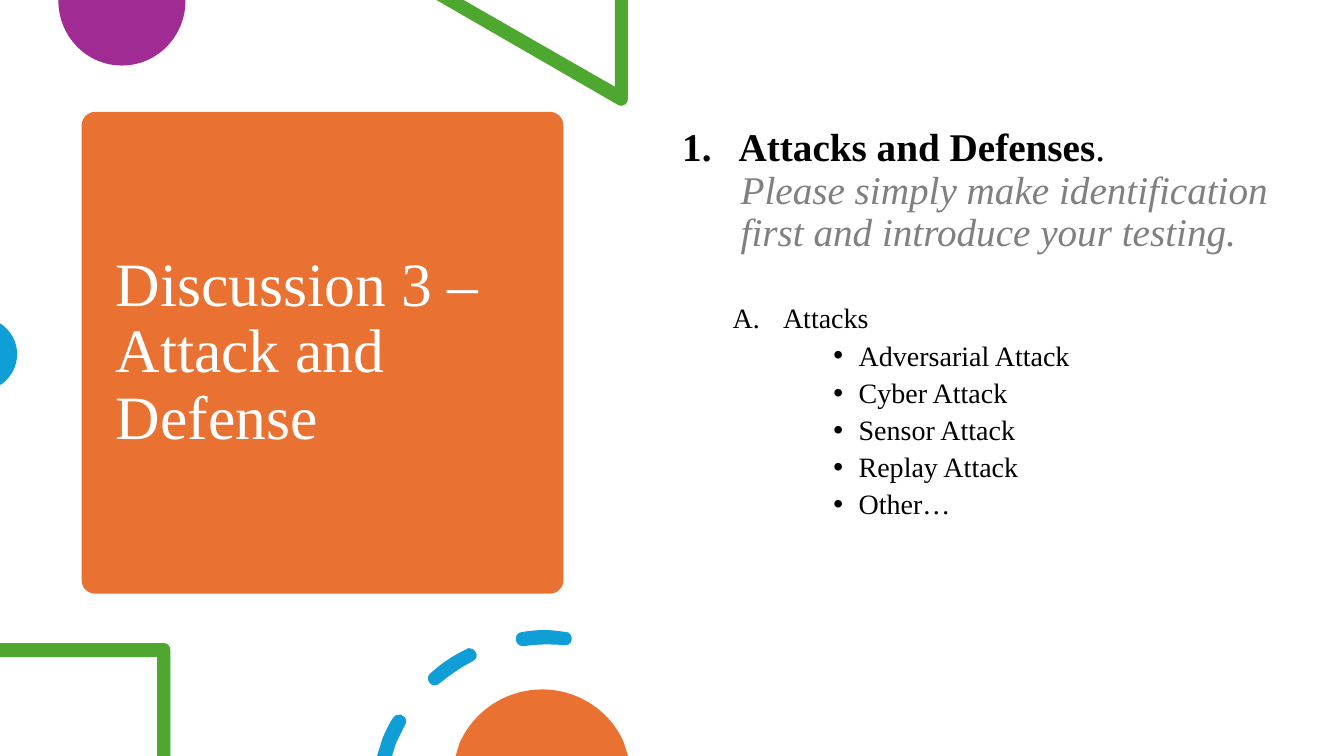
from dataclasses import dataclass

from lxml.etree import SubElement
from pptx import Presentation
from pptx.dml.color import RGBColor
from pptx.enum.shapes import MSO_SHAPE
from pptx.enum.text import MSO_ANCHOR
from pptx.oxml.ns import qn
from pptx.shapes.autoshape import Shape
from pptx.slide import Slide
from pptx.text.text import TextFrame
from pptx.util import Inches, Pt


@dataclass(frozen=True)
class Theme:
    font: str = "Times New Roman"
    orange: str = "E97132"
    purple: str = "A02B93"
    green: str = "4EA72E"
    blue: str = "0F9ED5"
    white: str = "FFFFFF"
    black: str = "000000"
    gray: str = "808080"
    title_size: int = 44
    heading_size: int = 28
    list_size: int = 20
    line_spacing: float = 0.9


THEME = Theme()
Outline = list[tuple[float, ...]]


@dataclass(frozen=True)
class Decoration:
    color: str
    outlines: list[Outline]


@dataclass(frozen=True)
class ListStyle:
    level: int = 0
    margin: float = 0
    indent: float = 0
    space_before: float = 0
    number: str = ""
    bullet: str = ""


HEADING = ListStyle(0, 0.56, -0.56, 10, number="arabicPeriod")
INSTRUCTION = ListStyle(0, 0.58)
SECTION = ListStyle(1, 1, -0.5, 35.5, number="alphaUcPeriod")
ATTACK = ListStyle(3, 1.75, -0.25, 5, bullet="•")

INSTRUCTIONS = [
    "Please simply make identification",
    "first and introduce your testing.",
]
ATTACKS = [
    "Adversarial Attack",
    "Cyber Attack",
    "Sensor Attack",
    "Replay Attack",
    "Other…",
]

PURPLE_CIRCLE = Decoration(THEME.purple, [[
    (1.84, 0), (0.58, 0), (0.58, 0.01),
    (0.58, 0.36, 0.86, 0.65, 1.21, 0.65),
    (1.56, 0.65, 1.84, 0.36, 1.84, 0.01),
]])
GREEN_TRIANGLE = Decoration(THEME.green, [[
    (6.23, 0), (6.1, 0), (6.1, 0.86), (4.6, 0), (4.33, 0), (6.13, 1.04),
    (6.14, 1.05, 6.15, 1.05, 6.16, 1.05),
    (6.2, 1.05, 6.23, 1.02, 6.23, 0.98),
]])
BLUE_CIRCLE = Decoration(THEME.blue, [[
    (0, 3.21), (0, 3.82), (0.02, 3.81),
    (0.11, 3.74, 0.17, 3.64, 0.17, 3.51),
    (0.17, 3.39, 0.11, 3.29, 0.02, 3.22),
]])
GREEN_SQUARE = Decoration(THEME.green, [[
    (1.63, 6.38), (0, 6.38), (0, 6.52), (1.56, 6.52),
    (1.56, 7.5), (1.69, 7.5), (1.69, 6.45),
    (1.69, 6.41, 1.66, 6.38, 1.63, 6.38),
]])
DASHED_ARC = Decoration(THEME.blue, [
    [
        (3.97, 7.09), (3.94, 7.08, 3.92, 7.1, 3.9, 7.12),
        (3.86, 7.18, 3.83, 7.25, 3.8, 7.31),
        (3.74, 7.5), (3.89, 7.5), (3.93, 7.37),
        (3.96, 7.31, 3.99, 7.25, 4.02, 7.19),
        (4.04, 7.16, 4.03, 7.11, 3.99, 7.1),
        (3.99, 7.09, 3.98, 7.09, 3.97, 7.09),
    ],
    [
        (4.65, 6.43), (4.65, 6.43, 4.64, 6.43, 4.63, 6.44),
        (4.5, 6.5, 4.38, 6.58, 4.27, 6.68),
        (4.24, 6.7, 4.24, 6.75, 4.26, 6.77),
        (4.27, 6.79, 4.29, 6.8, 4.31, 6.8),
        (4.33, 6.8, 4.35, 6.79, 4.36, 6.78),
        (4.46, 6.7, 4.57, 6.62, 4.69, 6.56),
        (4.73, 6.54, 4.74, 6.5, 4.72, 6.47),
        (4.71, 6.44, 4.68, 6.43, 4.65, 6.43),
    ],
    [
        (5.4, 6.25), (5.32, 6.25, 5.25, 6.26, 5.18, 6.27),
        (5.14, 6.27, 5.11, 6.31, 5.12, 6.35),
        (5.12, 6.38, 5.15, 6.41, 5.19, 6.41),
        (5.19, 6.41, 5.19, 6.41, 5.2, 6.41),
        (5.33, 6.39, 5.46, 6.39, 5.6, 6.4),
        (5.63, 6.41, 5.67, 6.38, 5.67, 6.35),
        (5.68, 6.31, 5.65, 6.27, 5.62, 6.27),
        (5.62, 6.27, 5.61, 6.27, 5.61, 6.27),
        (5.54, 6.26, 5.47, 6.25, 5.4, 6.25),
    ],
])
ORANGE_CIRCLE = Decoration(THEME.orange, [[
    (5.38, 6.84), (5.01, 6.84, 4.7, 7.06, 4.56, 7.37),
    (4.52, 7.5), (6.23, 7.5), (6.19, 7.37),
    (6.06, 7.06, 5.74, 6.84, 5.38, 6.84),
]])


def paint(shape: Shape, color: str) -> None:
    shape.shadow.inherit = False
    shape.fill.solid()
    shape.fill.fore_color.rgb = RGBColor.from_string(color)
    shape.line.fill.background()


def bend_segments(shape: Shape, segments: list[tuple[float, ...]]) -> None:
    for element, segment in zip(list(shape._element.iter(qn("a:lnTo"))), segments):
        if len(segment) == 6:
            element.tag = qn("a:cubicBezTo")
            element.remove(element[0])
            for x, y in zip(segment[::2], segment[1::2]):
                SubElement(element, qn("a:pt"), x=str(Inches(x) - shape.left),
                           y=str(Inches(y) - shape.top))


def draw_decoration(slide: Slide, decoration: Decoration) -> None:
    contours = [[(Inches(segment[-2]), Inches(segment[-1])) for segment in outline]
                for outline in decoration.outlines]
    builder = slide.shapes.build_freeform(*contours[0][0])
    for index, (start, *ends) in enumerate(contours):
        if index:
            builder.move_to(*start)
        builder.add_line_segments(ends, close=True)
    shape = builder.convert_to_shape()
    bend_segments(shape, [segment for outline in decoration.outlines for segment in outline[1:]])
    paint(shape, decoration.color)


def add_text_frame(slide: Slide, left: float, top: float, width: float,
                   height: float, anchor: MSO_ANCHOR) -> TextFrame:
    box = slide.shapes.add_textbox(Inches(left), Inches(top), Inches(width), Inches(height))
    box.text_frame.word_wrap = True
    box.text_frame.vertical_anchor = anchor
    return box.text_frame


def write(frame: TextFrame, text: str, *, size: int, color: str = THEME.black,
          bold: bool = False, italic: bool = False, style: ListStyle | None = None) -> None:
    if style:
        paragraph = frame.add_paragraph() if frame.text else frame.paragraphs[0]
        paragraph.level = style.level
        paragraph.line_spacing = THEME.line_spacing
        paragraph.space_before = Pt(style.space_before)
        properties = paragraph._p.get_or_add_pPr()
        properties.set("marL", str(Inches(style.margin)))
        properties.set("indent", str(Inches(style.indent)))
        if style.number:
            SubElement(properties, qn("a:buAutoNum"), type=style.number)
        elif style.bullet:
            SubElement(properties, qn("a:buFont"), typeface="Arial")
            SubElement(properties, qn("a:buChar"), char=style.bullet)
    run = frame.paragraphs[-1].add_run()
    run.text = text
    run.font.name = THEME.font
    run.font.size = Pt(size)
    run.font.bold = bold
    run.font.italic = italic
    run.font.color.rgb = RGBColor.from_string(color)


def main() -> None:
    presentation = Presentation()
    presentation.slide_width, presentation.slide_height = Inches(40 / 3), Inches(7.5)
    slide = presentation.slides.add_slide(presentation.slide_layouts[6])
    panel = slide.shapes.add_shape(
        MSO_SHAPE.ROUNDED_RECTANGLE, Inches(0.81), Inches(1.11), Inches(4.78), Inches(4.78))
    panel.adjustments[0] = 0.028
    paint(panel, THEME.orange)
    title = add_text_frame(slide, 1.05, 1.22, 4.31, 4.56, MSO_ANCHOR.MIDDLE)
    write(title, "Discussion 3 – Attack and Defense", size=THEME.title_size,
          color=THEME.white, style=ListStyle())
    for decoration in (PURPLE_CIRCLE, GREEN_TRIANGLE, BLUE_CIRCLE,
                       GREEN_SQUARE, DASHED_ARC, ORANGE_CIRCLE):
        draw_decoration(slide, decoration)
    body = add_text_frame(slide, 6.67, 1.22, 6.1, 5.35, MSO_ANCHOR.TOP)
    write(body, "Attacks and Defenses", size=THEME.heading_size, bold=True, style=HEADING)
    write(body, ".", size=THEME.heading_size)
    for line in INSTRUCTIONS:
        write(body, line, size=THEME.heading_size, color=THEME.gray, italic=True,
              style=INSTRUCTION)
    write(body, "Attacks", size=THEME.list_size, style=SECTION)
    for attack in ATTACKS:
        write(body, attack, size=THEME.list_size, style=ATTACK)
    presentation.save("out.pptx")


if __name__ == "__main__":
    main()
